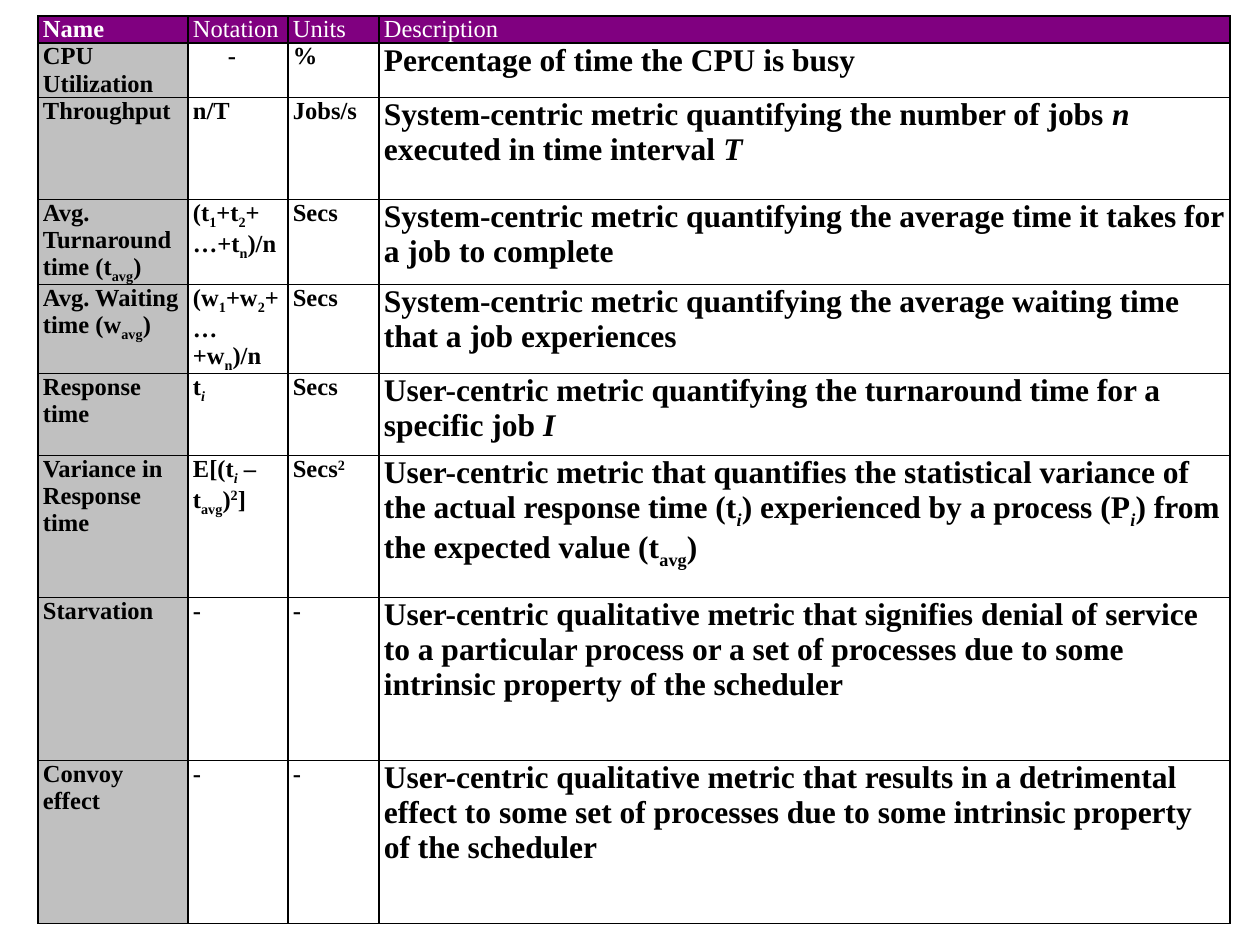
"""Build a slide with a table of CPU scheduling metrics."""
from lxml.etree import SubElement
from pptx import Presentation
from pptx.dml.color import RGBColor
from pptx.oxml.ns import qn
from pptx.util import Pt

PX = 914400 // 126
FONT = "Times New Roman"
BLACK = RGBColor(0x00, 0x00, 0x00)
WHITE = RGBColor(0xFF, 0xFF, 0xFF)
PURPLE = RGBColor(0x80, 0x00, 0x80)
SILVER = RGBColor(0xC0, 0xC0, 0xC0)

LEFT, TOP = 38, 16
COL_WIDTHS = [150, 100, 91, 851]
ROW_HEIGHTS = [20, 40, 102, 82, 82, 82, 142, 163, 163]
DASH_INDENT = 35
MARKS = {"/": (True, 0), "_": (False, -25000),
         "~": (True, -25000), "^": (False, 30000)}

METRICS = [
    ("Name", "Notation", "Units", "Description"),
    ("CPU Utilization", "-", "%", "Percentage of time the CPU is busy"),
    ("Throughput", "n/T", "Jobs/s",
     "System-centric metric quantifying the number of jobs |/n| "
     "executed in time interval |/T"),
    ("Avg. Turnaround time (t|_avg|)", "(t|_1|+t|_2|+…+t|_n|)/n", "Secs",
     "System-centric metric quantifying the average time it takes for "
     "a job to complete"),
    ("Avg. Waiting time (w|_avg|)", "(w|_1|+w|_2|+ …+w|_n|)/n", "Secs",
     "System-centric metric quantifying the average waiting time "
     "that a job experiences"),
    ("Response time", "t|~i", "Secs",
     "User-centric metric quantifying the turnaround time for a "
     "specific job |/I"),
    ("Variance in Response time", "E[(t|~i| –t|_avg|)|^2|]", "Secs|^2",
     "User-centric metric that quantifies the statistical variance of "
     "the actual response time (t|~i|) experienced by a process (P|~i|) from "
     "the expected value (t|_avg|)"),
    ("Starvation", "-", "-",
     "User-centric qualitative metric that signifies denial of service "
     "to a particular process or a set of processes due to some "
     "intrinsic property of the scheduler"),
    ("Convoy effect", "-", "-",
     "User-centric qualitative metric that results in a detrimental "
     "effect to some set of processes due to some intrinsic property "
     "of the scheduler"),
]


def add_borders(cell):
    """Draw a thin black line on each side of a cell."""
    tcPr = cell._tc.get_or_add_tcPr()
    for side in ("a:lnL", "a:lnR", "a:lnT", "a:lnB"):
        ln = SubElement(tcPr, qn(side), w=str(Pt(1)))
        fill = SubElement(ln, qn("a:solidFill"))
        SubElement(fill, qn("a:srgbClr"), val=str(BLACK))


def write_marked(p, text, size, color, bold):
    """Write text whose odd parts between bars start with a style mark."""
    for i, part in enumerate(text.split("|")):
        italic, baseline = MARKS[part[0]] if i % 2 else (False, 0)
        r = p.add_run()
        r.text = part[1:] if i % 2 else part
        r.font.name = FONT
        r.font.size = Pt(size)
        r.font.bold = bold
        r.font.italic = italic
        r.font.color.rgb = color
        if baseline:
            r._r.get_or_add_rPr().set("baseline", str(baseline))


def fill_cell(cell, text, row, col):
    """Style one cell by its row and column and write its text."""
    header = row == 0
    cell.margin_left = cell.margin_right = 5 * PX
    cell.margin_top = cell.margin_bottom = 0
    add_borders(cell)
    if header or col == 0:
        cell.fill.solid()
        cell.fill.fore_color.rgb = PURPLE if header else SILVER
    else:
        cell.fill.background()
    size = 18 if col == 3 and not header else 14
    p = cell.text_frame.paragraphs[0]
    write_marked(p, text, size, WHITE if header else BLACK,
                 not header or col == 0)


def add_metrics_table(s):
    """Add the table of metrics to the slide."""
    table = s.shapes.add_table(
        len(METRICS), len(COL_WIDTHS), LEFT * PX, TOP * PX,
        sum(COL_WIDTHS) * PX, sum(ROW_HEIGHTS) * PX).table
    for column, width in zip(table.columns, COL_WIDTHS):
        column.width = width * PX
    for row, height in zip(table.rows, ROW_HEIGHTS):
        row.height = height * PX
    for i, metric in enumerate(METRICS):
        for j, text in enumerate(metric):
            fill_cell(table.cell(i, j), text, i, j)
    dash = table.cell(1, 1).text_frame.paragraphs[0]
    dash._p.get_or_add_pPr().set("marL", str(DASH_INDENT * PX))


def main():
    """Create the presentation and save it."""
    prs = Presentation()
    prs.slide_width = 1260 * PX
    prs.slide_height = 945 * PX
    s = prs.slides.add_slide(prs.slide_layouts[6])
    add_metrics_table(s)
    prs.save("out.pptx")


if __name__ == "__main__":
    main()
